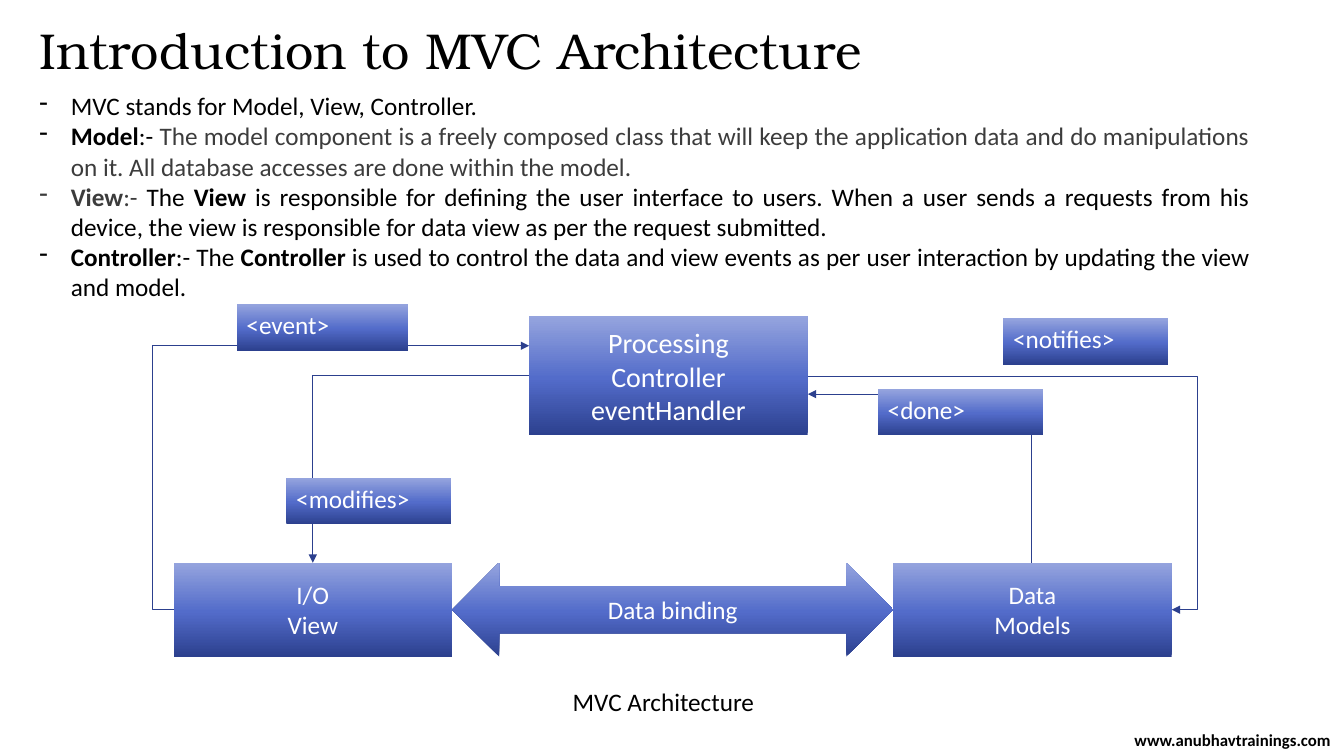
from copy import deepcopy
from dataclasses import dataclass

from pptx import Presentation
from pptx.dml.color import RGBColor
from pptx.enum.shapes import MSO_CONNECTOR, MSO_SHAPE
from pptx.enum.text import MSO_ANCHOR, PP_ALIGN
from pptx.oxml.ns import qn
from pptx.util import Pt

BLACK = RGBColor(0x00, 0x00, 0x00)
WHITE = RGBColor(0xFF, 0xFF, 0xFF)
GRAY = RGBColor(0x3C, 0x3C, 0x3C)
NAVY = RGBColor(0x2C, 0x40, 0x8E)
BLUE = RGBColor(0x53, 0x6C, 0xCA)
LIGHT_BLUE = RGBColor(0x95, 0xA4, 0xDE)
GRADIENT = ((0, NAVY), (0.48, BLUE), (1, LIGHT_BLUE))
BODY_FONT = "Calibri"
TITLE_FONT = "TeX Gyre Bonum"


@dataclass(frozen=True)
class Span:
    text: str
    bold: bool = False
    color: RGBColor = BLACK


@dataclass(frozen=True)
class Box:
    lines: tuple[str, ...]
    left: float
    top: float
    width: float
    height: float
    size: float = 18
    shape: MSO_SHAPE = MSO_SHAPE.RECTANGLE
    align: PP_ALIGN = PP_ALIGN.CENTER
    anchor: MSO_ANCHOR = MSO_ANCHOR.MIDDLE


@dataclass(frozen=True)
class Route:
    """An elbow line; bend is the middle leg's place, None for a single corner."""
    start: tuple[float, float]
    end: tuple[float, float]
    bend: float | None = None
    arrow_at: str = "a:tailEnd"


def label(text: str, left: float, top: float, width: float = 118) -> Box:
    return Box((text,), left, top, width, 33,
               align=PP_ALIGN.LEFT, anchor=MSO_ANCHOR.TOP)


BULLETS = (
    (Span("MVC stands for Model, View, Controller."),),
    (Span("Model", True), Span(":- "),
     Span("The model component is a freely composed class that will keep the "
          "application data and do manipulations on it. All database accesses "
          "are done within the model.", color=GRAY)),
    (Span("View", True, GRAY), Span(":- ", color=GRAY), Span("The "),
     Span("View", True),
     Span(" is responsible for defining the user interface to users. When a "
          "user sends a requests from his device, the view is responsible for "
          "data view as per the request submitted.")),
    (Span("Controller", True), Span(":- The "), Span("Controller", True),
     Span(" is used to control the data and view events as per user "
          "interaction by updating the view and model.")),
)
COMPONENTS = (
    Box(("Processing", "Controller", "eventHandler"), 378, 226, 199, 85, 20),
    Box(("I/O", "View"), 124, 402, 199, 67),
    Box(("Data", "Models"), 638, 402, 199, 67),
)
ROUTES = (
    Route((577, 268.5), (837, 435.5), bend=1.07),
    Route((577, 281.5), (736.5, 402), arrow_at="a:headEnd"),
    Route((378, 268.5), (223.5, 402)),
    Route((124, 435.5), (378, 247), bend=-0.06),
)
LABELS = (
    label("<event>", 169, 217.5, 122.5),
    label("<modifies>", 204.5, 341.5),
    label("<notifies>", 716.5, 227.5),
    label("<done>", 627, 278),
    Box(("Data binding",), 323, 402, 315, 67, shape=MSO_SHAPE.LEFT_RIGHT_ARROW),
)


def place(sp, left: float, top: float, width: float, height: float) -> None:
    sp.left, sp.top, sp.width, sp.height = map(Pt, (left, top, width, height))


def add_run(p, span: Span, size: float, font: str = BODY_FONT) -> None:
    r = p.add_run()
    r.text = span.text
    r.font.name = font
    r.font.size = Pt(size)
    r.font.bold = span.bold
    r.font.color.rgb = span.color


def add_text(slide, left: float, top: float, width: float, height: float):
    tf = slide.shapes.add_textbox(*map(Pt, (left, top, width, height))).text_frame
    tf.word_wrap = True
    return tf


def next_paragraph(tf, index: int):
    return tf.add_paragraph() if index else tf.paragraphs[0]


def fill_gradient(sp) -> None:
    sp.fill.gradient()
    sp.fill.gradient_angle = 90
    stop_list = sp._element.spPr.find(qn("a:gradFill")).find(qn("a:gsLst"))
    stop_list.append(deepcopy(stop_list[0]))
    for stop, (position, color) in zip(sp.fill.gradient_stops, GRADIENT):
        stop.position = position
        stop.color.rgb = color


def add_box(slide, box: Box) -> None:
    sp = slide.shapes.add_shape(
        box.shape, *map(Pt, (box.left, box.top, box.width, box.height)))
    sp.shadow.inherit = False
    fill_gradient(sp)
    sp.line.fill.background()
    tf = sp.text_frame
    tf.word_wrap = True
    tf.vertical_anchor = box.anchor
    for i, line in enumerate(box.lines):
        p = next_paragraph(tf, i)
        p.alignment = box.align
        add_run(p, Span(line, color=WHITE), box.size)


def add_route(slide, route: Route) -> None:
    cx = slide.shapes.add_connector(
        MSO_CONNECTOR.ELBOW, *map(Pt, route.start + route.end))
    cx.line.color.rgb = NAVY
    cx.line.width = Pt(0.5)
    sp_pr = cx._element.spPr
    geometry = sp_pr.find(qn("a:prstGeom"))
    if route.bend is None:
        geometry.set("prst", "bentConnector2")
    else:
        guides = geometry.find(qn("a:avLst"))
        guide = guides.makeelement(qn("a:gd"), {
            "name": "adj1", "fmla": f"val {round(route.bend * 100000)}"})
        guides.append(guide)
    ln = sp_pr.find(qn("a:ln"))
    ln.append(ln.makeelement(qn(route.arrow_at), {"type": "triangle"}))
    sp_pr.append(sp_pr.makeelement(qn("a:effectLst"), {}))


def add_title(slide) -> None:
    title = slide.shapes.title
    place(title, 21, 15, 879, 47)
    tf = title.text_frame
    tf.vertical_anchor = MSO_ANCHOR.TOP
    p = tf.paragraphs[0]
    p.alignment = PP_ALIGN.LEFT
    p.line_spacing = 0.9
    add_run(p, Span("Introduction to MVC Architecture"), 36, TITLE_FONT)


def add_bullets(slide) -> None:
    tf = add_text(slide, 21, 61, 879, 160)
    for i, spans in enumerate(BULLETS):
        p = next_paragraph(tf, i)
        p.alignment = PP_ALIGN.JUSTIFY
        p_pr = p._p.get_or_add_pPr()
        p_pr.set("marL", str(Pt(22.5)))
        p_pr.set("indent", str(-Pt(22.5)))
        p_pr.append(p_pr.makeelement(qn("a:buChar"), {"char": "-"}))
        for span in spans:
            add_run(p, span, 18)


def add_website(slide) -> None:
    tf = add_text(slide, 801, 523, 159, 11.5)
    tf.vertical_anchor = MSO_ANCHOR.MIDDLE
    tf.margin_left = tf.margin_right = 0
    p = tf.paragraphs[0]
    p.alignment = PP_ALIGN.CENTER
    add_run(p, Span("www.anubhavtrainings.com", True), 12)


def main() -> None:
    prs = Presentation()
    prs.slide_width, prs.slide_height = Pt(960), Pt(540)
    slide = prs.slides.add_slide(prs.slide_layouts[5])
    add_title(slide)
    add_bullets(slide)
    add_website(slide)
    for box in COMPONENTS:
        add_box(slide, box)
    for route in ROUTES:
        add_route(slide, route)
    for box in LABELS:
        add_box(slide, box)
    caption = add_text(slide, 402, 487, 157, 29)
    add_run(caption.paragraphs[0], Span("MVC Architecture"), 18)
    prs.save("out.pptx")


if __name__ == "__main__":
    main()
